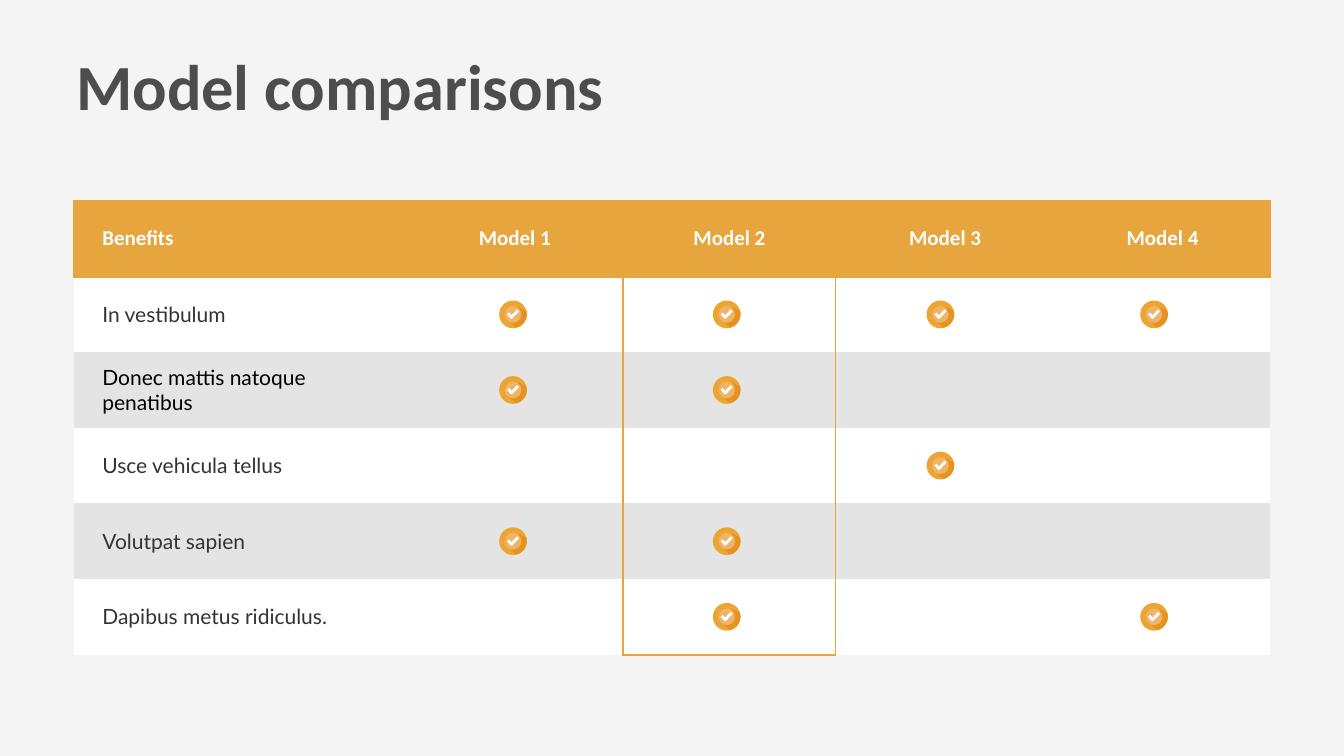
import dataclasses

import lxml.etree
import pptx
import pptx.dml.color
import pptx.enum.shapes
import pptx.enum.text
import pptx.oxml.ns
import pptx.util

Cm = pptx.util.Cm
Align = pptx.enum.text.PP_ALIGN
Anchor = pptx.enum.text.MSO_ANCHOR


@dataclasses.dataclass(frozen=True)
class Theme:
    """Colours, fonts and type sizes of the slide."""
    background: str = "F4F4F4"
    title: str = "4D4D4D"
    accent: str = "E7A53D"
    white: str = "FFFFFF"
    band: str = "E4E4E4"
    body: str = "333333"
    strong: str = "000000"
    badge: str = "ECA433"
    shade: str = "E5921F"
    centre: str = "EDB46A"
    heading_font: str = "Calibri"
    body_font: str = "Lato"
    title_size: int = 92
    table_size: int = 30
    border_width: int = 3
    tick_width: int = 4


THEME = Theme()
MODELS = ["Model 1", "Model 2", "Model 3", "Model 4"]
BENEFITS = [
    ("In vestibulum", THEME.body, {1, 2, 3, 4}),
    ("Donec mattis natoque \vpenatibus", THEME.strong, {1, 2}),
    ("Usce vehicula tellus", THEME.body, {3}),
    ("Volutpat sapien", THEME.body, {1, 2}),
    ("Dapibus metus ridiculus.", THEME.body, {2, 4}),
]
HIGHLIGHT = 2
COLUMN_WIDTHS = [16.76, 10.95, 10.69, 11.05, 10.87]
FIRST_MARK, MARK_STEP = 22.15, 10.77
SHADE_START = (-0.15, 0.41)
SHADE_CURVES = [
    [(0.15, 0.66)],
    [(0.15, 0.66), (0.38, 0.64), (0.56, 0.38)],
    [(0.76, 0.1), (0.66, -0.18), (0.66, -0.18)],
    [(0.23, -0.41)],
    [(0.23, -0.41), (0.53, -0.08), (0.33, 0.2)],
    [(0.13, 0.51), (-0.15, 0.41), (-0.15, 0.41)],
]
TICK = [(-0.25, -0.05), (-0.08, 0.15), (0.25, -0.2)]


def rgb(colour):
    """Return the colour object for a hex string."""
    return pptx.dml.color.RGBColor.from_string(colour)


def write_text(frame, text, *, size, font, colour, bold=False, align=Align.LEFT, indent=0):
    """Write one formatted paragraph into a text frame."""
    paragraph = frame.paragraphs[0]
    paragraph.text = text
    paragraph.alignment = align
    if indent:
        properties = paragraph._p.get_or_add_pPr()
        properties.set("marL", str(Cm(indent)))
        properties.set("indent", "0")
    for run in paragraph.runs:
        run.font.size = pptx.util.Pt(size)
        run.font.name = font
        run.font.bold = bold
        run.font.color.rgb = rgb(colour)


def set_borders(cell, sides):
    """Draw accent borders on the given sides and clear the others."""
    properties = cell._tc.get_or_add_tcPr()
    qn = pptx.oxml.ns.qn
    for side in "LRTB":
        line = lxml.etree.SubElement(properties, qn(f"a:ln{side}"))
        if side in sides:
            line.set("w", str(pptx.util.Pt(THEME.border_width)))
            fill = lxml.etree.SubElement(line, qn("a:solidFill"))
            lxml.etree.SubElement(fill, qn("a:srgbClr")).set("val", THEME.accent)
        else:
            lxml.etree.SubElement(line, qn("a:noFill"))


def border_sides(row, column):
    """Return the sides of a cell that carry the accent border."""
    if row == 0:
        return "LRTB"
    sides = "T" if row == 1 else ""
    if column in (HIGHLIGHT, HIGHLIGHT + 1):
        sides += "L"
    if column in (HIGHLIGHT - 1, HIGHLIGHT):
        sides += "R"
    if column == HIGHLIGHT and row == len(BENEFITS):
        sides += "B"
    return sides


def paint(shape, colour):
    """Give a shape a plain fill without outline or shadow."""
    shape.shadow.inherit = False
    shape.fill.solid()
    shape.fill.fore_color.rgb = rgb(colour)
    shape.line.fill.background()


def add_disc(slide, x, y, diameter, colour):
    """Add a filled circle centred on a point."""
    left, top = Cm(x - diameter / 2), Cm(y - diameter / 2)
    oval = pptx.enum.shapes.MSO_SHAPE.OVAL
    paint(slide.shapes.add_shape(oval, left, top, Cm(diameter), Cm(diameter)), colour)


def add_outline(slide, x, y, points, close):
    """Add a freeform through points given relative to a centre."""
    placed = [(Cm(x + dx), Cm(y + dy)) for dx, dy in points]
    builder = slide.shapes.build_freeform(*placed[0])
    builder.add_line_segments(placed[1:], close=close)
    return builder.convert_to_shape()


def trace(start, curves, steps=8):
    """Turn lines and cubic curves into a list of points."""
    points = [start]
    for curve in curves:
        if len(curve) == 1:
            points += curve
            continue
        controls = [points[-1], *curve]
        for step in range(1, steps + 1):
            t = step / steps
            weights = ((1 - t) ** 3, 3 * t * (1 - t) ** 2, 3 * t * t * (1 - t), t ** 3)
            points.append(tuple(sum(w * p[axis] for w, p in zip(weights, controls)) for axis in (0, 1)))
    return points


def add_check_mark(slide, x, y):
    """Add a round check mark centred on a point."""
    add_disc(slide, x, y, 1.4, THEME.badge)
    paint(add_outline(slide, x, y, trace(SHADE_START, SHADE_CURVES), True), THEME.shade)
    add_disc(slide, x, y, 0.84, THEME.centre)
    tick = add_outline(slide, x, y, TICK, False)
    tick.shadow.inherit = False
    tick.fill.background()
    tick.line.color.rgb = rgb(THEME.white)
    tick.line.width = pptx.util.Pt(THEME.tick_width)


def add_title(slide, left, top, width, height):
    """Add the slide title in the given box."""
    frame = slide.shapes.add_textbox(Cm(left), Cm(top), Cm(width), Cm(height)).text_frame
    frame.word_wrap = True
    frame.margin_left = frame.margin_right = frame.margin_top = frame.margin_bottom = 0
    write_text(frame, "Model comparisons", size=THEME.title_size, font=THEME.heading_font,
               colour=THEME.title, bold=True)


def add_comparison(slide, left, top, width, height):
    """Add the comparison table with its check marks in the given box."""
    rows = len(BENEFITS) + 1
    row_height = height / rows
    table = slide.shapes.add_table(rows, len(COLUMN_WIDTHS), Cm(left), Cm(top), Cm(width), Cm(height)).table
    table.first_row = table.horz_banding = False
    for column, column_width in zip(table.columns, COLUMN_WIDTHS):
        column.width = Cm(column_width)
    for row in range(rows):
        for column in range(len(COLUMN_WIDTHS)):
            cell = table.cell(row, column)
            cell.vertical_anchor = Anchor.MIDDLE
            cell.margin_left = cell.margin_right = cell.margin_top = cell.margin_bottom = Cm(0.18)
            set_borders(cell, border_sides(row, column))
            cell.fill.solid()
            cell.fill.fore_color.rgb = rgb(THEME.accent if row == 0 else THEME.white if row % 2 else THEME.band)
    for column, heading in enumerate(["Benefits", *MODELS]):
        write_text(table.cell(0, column).text_frame, heading, size=THEME.table_size,
                   font=THEME.heading_font, colour=THEME.white, bold=True,
                   align=Align.CENTER if column else Align.LEFT, indent=0 if column else 1.27)
    for row, (benefit, colour, included) in enumerate(BENEFITS, start=1):
        write_text(table.cell(row, 0).text_frame, benefit, size=THEME.table_size,
                   font=THEME.body_font, colour=colour, indent=1.27)
        for model in sorted(included):
            add_check_mark(slide, left + FIRST_MARK + (model - 1) * MARK_STEP, top + (row + 0.5) * row_height)


def main():
    """Build and save the presentation."""
    presentation = pptx.Presentation()
    presentation.slide_width, presentation.slide_height = Cm(67.74), Cm(38.1)
    slide = presentation.slides.add_slide(presentation.slide_layouts[6])
    slide.background.fill.solid()
    slide.background.fill.fore_color.rgb = rgb(THEME.background)
    add_comparison(slide, 3.71, 10.13, sum(COLUMN_WIDTHS), 22.86)
    add_title(slide, 3.84, 2.34, 35.38, 4.19)
    presentation.save("out.pptx")


if __name__ == "__main__":
    main()
